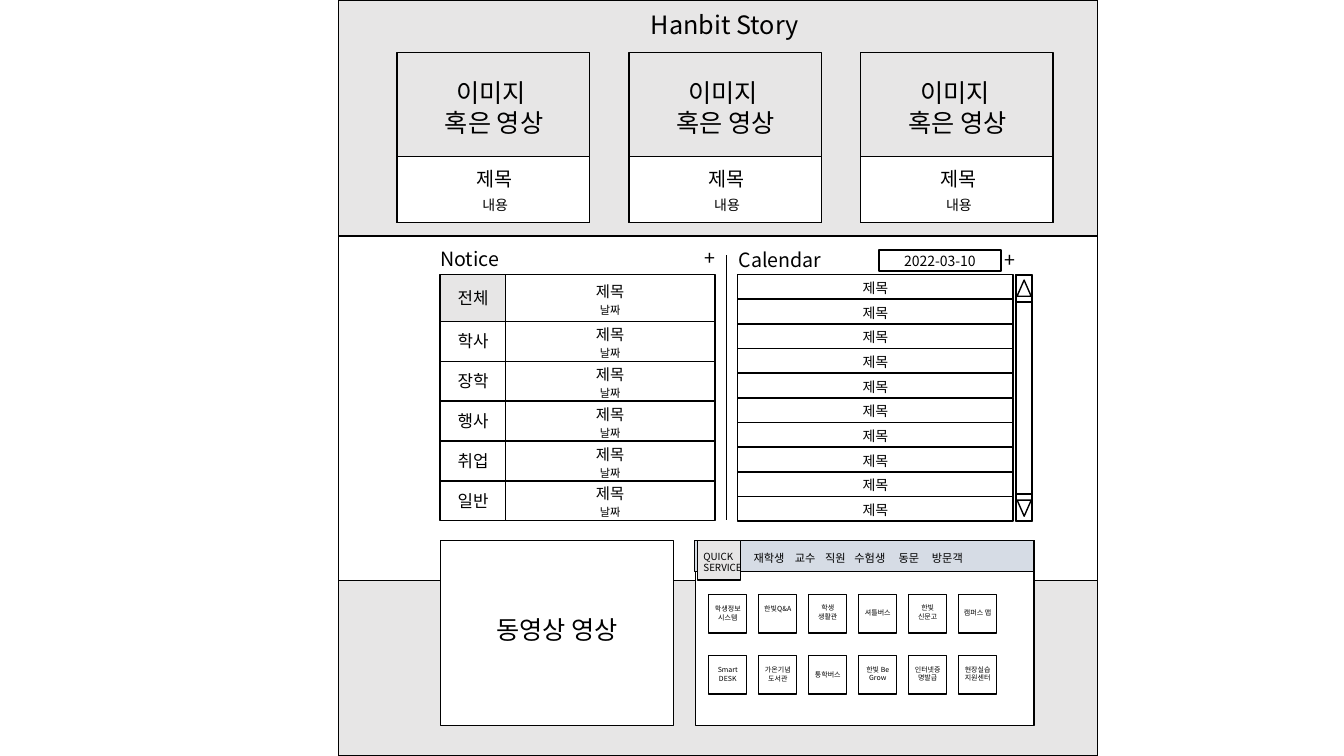
from lxml.etree import SubElement
from pptx import Presentation
from pptx.dml.color import RGBColor
from pptx.enum.shapes import MSO_CONNECTOR, MSO_SHAPE as SHAPE
from pptx.enum.text import MSO_ANCHOR, MSO_AUTO_SIZE, PP_ALIGN as ALIGN
from pptx.oxml.ns import qn
from pptx.util import Pt

FONT = "Noto Sans CJK KR"
BLACK, WHITE, GRAY, BLUE = "000000", "FFFFFF", "E7E6E6", "D6DCE5"


def color(hex_code):
    """Turn a hex string into a colour."""
    return RGBColor.from_string(hex_code)


def box(s, x, y, w, h, fill=None, kind=SHAPE.RECTANGLE):
    """Add a shape with a thin black outline."""
    sp = s.shapes.add_shape(kind, Pt(x), Pt(y), Pt(w), Pt(h))
    sp.shadow.inherit = False
    if fill:
        sp.fill.solid()
        sp.fill.fore_color.rgb = color(fill)
    else:
        sp.fill.background()
    sp.line.color.rgb = color(BLACK)
    sp.line.width = Pt(1)
    return sp


def write(sp, text, size, align=ALIGN.CENTER):
    """Put black text into a shape."""
    tf = sp.text_frame
    tf.word_wrap = True
    tf.text = text
    for p in tf.paragraphs:
        p.alignment = align
        for r in p.runs:
            r.font.name = FONT
            r.font.size = Pt(size)
            r.font.color.rgb = color(BLACK)
            SubElement(r._r.get_or_add_rPr(), qn("a:ea"), typeface=FONT)
    return tf


def label(s, x, y, w, h, text, size, align=ALIGN.CENTER):
    """Add a text box that grows with its text."""
    sp = s.shapes.add_textbox(Pt(x), Pt(y), Pt(w), Pt(h))
    write(sp, text, size, align).auto_size = MSO_AUTO_SIZE.SHAPE_TO_FIT_TEXT


def page_frame(s, x, y, w, h):
    """Draw the page outline and its three bands."""
    box(s, x, y, w, h)
    top, bottom = y + 168.5, y + 414.7
    box(s, x, y, w, top - y, GRAY)
    box(s, x, top, w, bottom - top)
    box(s, x, bottom, w, y + h - bottom, GRAY)


def story_card(s, x, y, w, h):
    """Draw a media area above a white caption."""
    caption = y + 74.4
    box(s, x, y, w, h)
    box(s, x, caption, w, y + h - caption, WHITE)
    label(s, x + 13.5, y + 14, 111.6, 51, "이미지 \n혹은 영상", 18)
    label(s, x + 14, caption + 4, 111.6, 24.5, "제목", 14)
    label(s, x + 32, caption + 25, 76.3, 19.4, "내용", 10)


def story(s, x, y, w, h):
    """Draw the heading and three story cards."""
    label(s, x + 202.3, y + 2.9, 146.9, 28.8, "Hanbit Story", 18)
    for i in range(3):
        story_card(s, x + 41.6 + i * 165.6, y + 37.4, 137.5, h - 47)


def notice(s, x, y, w, h):
    """Draw the notice board: a tab and an entry in each row."""
    label(s, x - 6.8, y, 79.2, 24.5, "Notice", 14, ALIGN.LEFT)
    label(s, x + 181.9, y - 0.7, 74.9, 24.5, "+", 14, ALIGN.LEFT)
    tab_w, first_h = 46.8, 33.6
    top = y + 23
    row_h = (y + h - top - first_h) / 5
    for i, name in enumerate(["전체", "학사", "장학", "행사", "취업", "일반"]):
        height = row_h if i else first_h
        middle = top + height / 2
        box(s, x, top, tab_w, height, None if i else GRAY)
        label(s, x + 0.4, middle - 10.8, tab_w, 21.6, name, 12)
        box(s, x + tab_w, top, w - tab_w, height)
        label(s, x + tab_w, middle - 15.2, w - tab_w, 20.9, "제목", 11)
        label(s, x + tab_w, middle, w - tab_w, 17.3, "날짜", 8)
        top += height


def scroll_bar(s, x, y, w, h):
    """Draw a scroll bar with an arrow at each end."""
    button = 19.4
    box(s, x, y, w, h)
    for top, turn, gap in [(y, 0, 3.6), (y + h - button, 180, 4.3)]:
        box(s, x, top, w, button)
        arrow = box(s, x + 0.7, top + gap, w - 1.4, 11.5,
                    kind=SHAPE.ISOSCELES_TRIANGLE)
        arrow.rotation = turn


def calendar(s, x, y, w, h):
    """Draw the calendar list, its date field and scroll bar."""
    label(s, x - 6.4, y, 79.2, 24.5, "Calendar", 14, ALIGN.LEFT)
    label(s, x + 183.7, y, 74.9, 24.5, "+", 14, ALIGN.LEFT)
    date = box(s, x + 100.8, y + 5, 87.1, 15.1)
    write(date, "2022-03-10", 10).vertical_anchor = MSO_ANCHOR.MIDDLE
    list_w, list_y, count = 196.6, y + 22.6, 10
    row_h = (y + h - list_y) / count
    for i in range(count):
        top = list_y + i * row_h
        box(s, x, top, list_w, row_h)
        label(s, x, top, list_w, 19.4, "제목", 10)
    scroll_bar(s, x + w - 11.5, list_y + 0.4, 11.5, y + h - list_y - 0.4)


def divider(s, x, y, h):
    """Draw a thin vertical line."""
    line = s.shapes.add_connector(MSO_CONNECTOR.STRAIGHT,
                                  Pt(x), Pt(y), Pt(x), Pt(y + h))
    line.line.color.rgb = color(BLACK)
    line.line.width = Pt(0.5)
    SubElement(line._element.spPr, qn("a:effectLst"))


def video(s, x, y, w, h):
    """Draw the video area."""
    box(s, x, y, w, h, WHITE)
    label(s, x, y + 49, w, 28.8, "동영상 영상", 18)


def quick_service(s, x, y, w, h):
    """Draw the quick service panel: menu bar and grid of tiles."""
    box(s, x, y, w, h, WHITE)
    box(s, x - 0.5, y, w + 0.5, 22.3, BLUE)
    box(s, x + 1.6, y, 31, 28.2, GRAY)
    label(s, x - 1.2, y + 3.6, 59, 24.5, "QUICK\nSERVICE", 7, ALIGN.LEFT)
    menu = [("재학생", 34.6), ("교수", 64.1), ("직원", 85.7),
            ("수험생", 106.6), ("동문", 138.2), ("방문객", 162)]
    for name, dx in menu:
        label(s, x + dx, y + 4.3, 46.1, 17.3, name, 8, ALIGN.LEFT)

    tile, label_w = 27.4, 35.3
    rows = [
        [("학생정보시스템", 3.8), ("한빛Q&A", 3.8), ("학생\n생활관", 3),
         ("셔틀버스", 6), ("한빛\n신문고", 3), ("캠퍼스 맵", 6)],
        [("Smart\nDESK", 4), ("가온기념도서관", 4), ("통학버스", 7),
         ("한빛 Be Grow", 3.4), ("인터넷증명발급", 3.4),
         ("현장실습지원센터", 3.4)],
    ]
    for j, row in enumerate(rows):
        for i, (name, dy) in enumerate(row):
            left, top = x + 9.4 + i * 35.7, y + 38.8 + j * 43.4
            box(s, left, top, tile, tile)
            label(s, left + (tile - label_w) / 2 + 0.2, top + dy,
                  label_w, 19.4, name, 5)


def main():
    """Build the slide and save it."""
    prs = Presentation()
    prs.slide_width, prs.slide_height = Pt(960), Pt(540)
    s = prs.slides.add_slide(prs.slide_layouts[6])
    page_frame(s, 242, 0, 542, 540)
    story(s, 242, 0, 542, 168.5)
    notice(s, 314.2, 173, 196.5, 199)
    divider(s, 519, 182.2, 189.3)
    calendar(s, 527, 173.5, 210.3, 198.8)
    video(s, 314.6, 386, 166.5, 132.5)
    quick_service(s, 496.6, 386, 242, 132.5)
    prs.save("out.pptx")


main()
